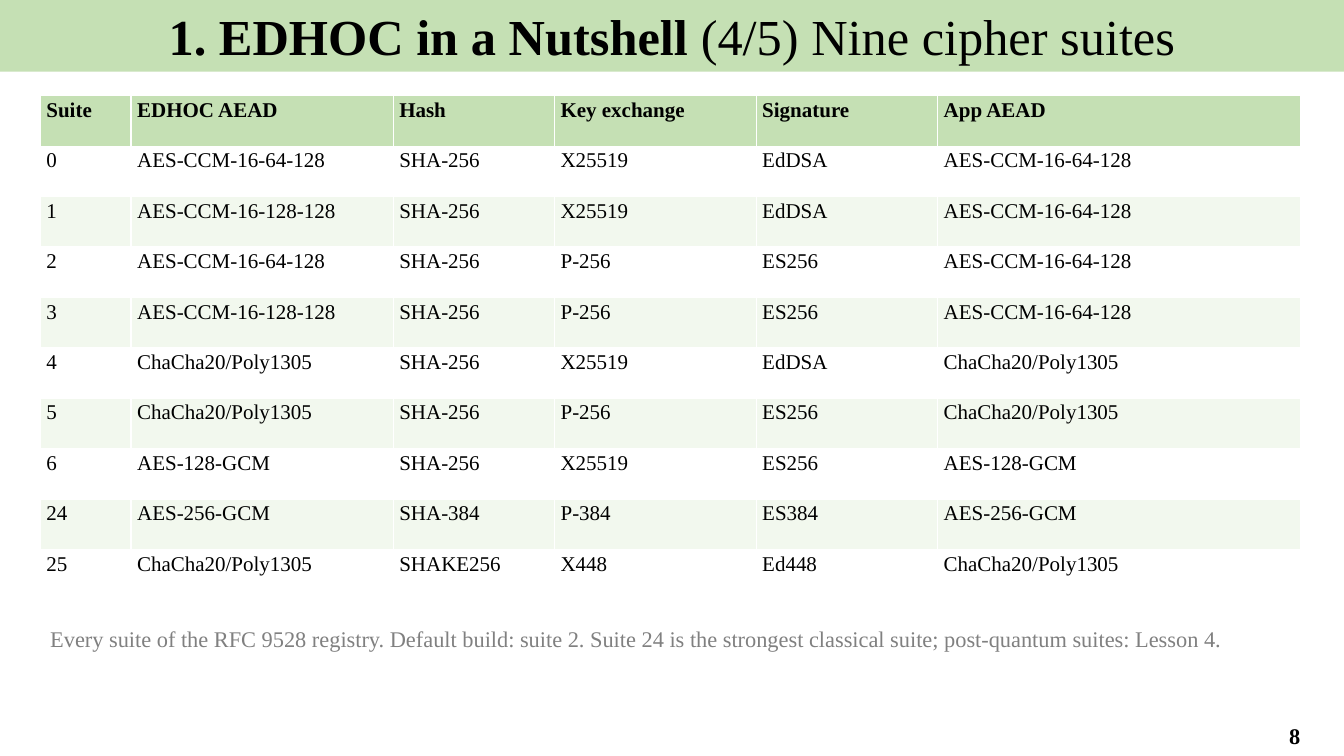
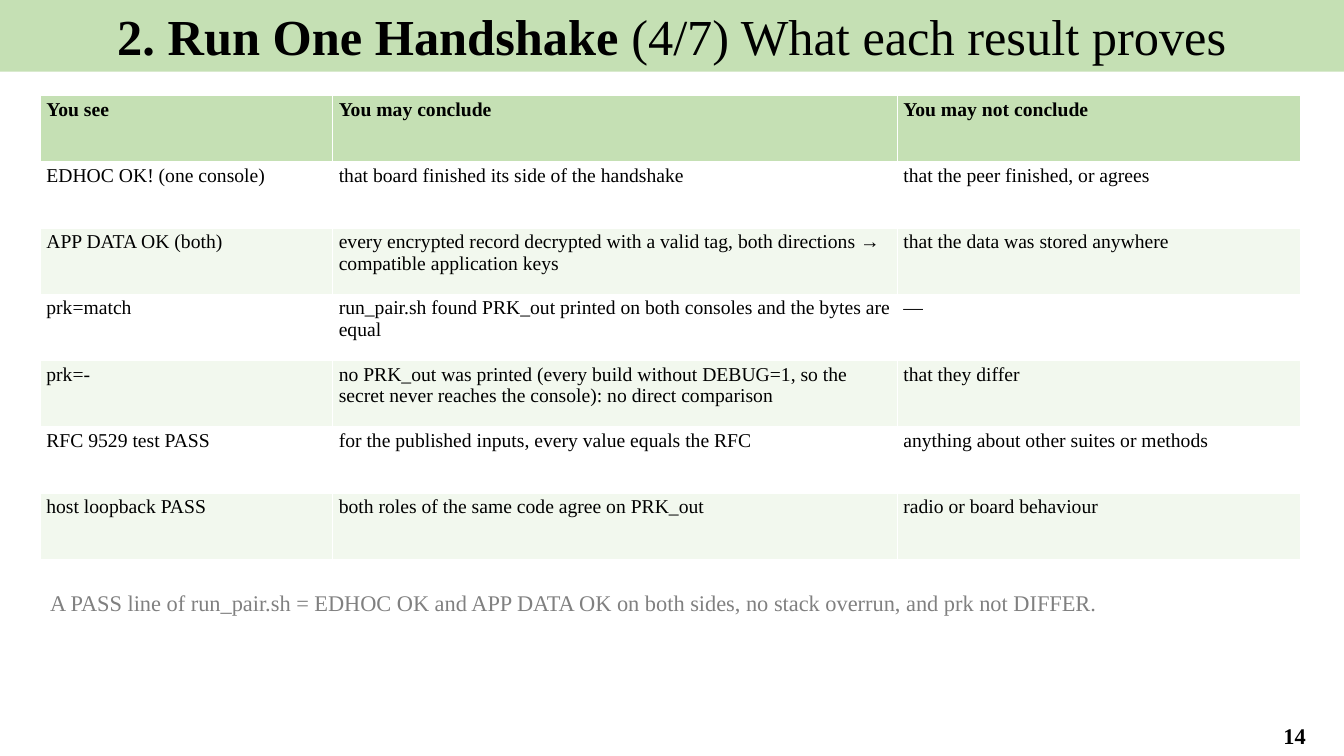
from dataclasses import dataclass

from pptx import Presentation
from pptx.dml.color import RGBColor
from pptx.enum.shapes import MSO_SHAPE
from pptx.enum.text import MSO_ANCHOR, MSO_AUTO_SIZE, PP_ALIGN
from pptx.util import Emu, Pt

SLIDE_WIDTH, SLIDE_HEIGHT = 1333, 750
MARGIN = 40
TABLE_TOP = 95
TABLE_WIDTH = 1250


@dataclass(frozen=True)
class Theme:
    font: str = "Times New Roman"
    ink: str = "000000"
    muted: str = "808080"
    accent: str = "C5E0B4"
    stripe: str = "F2F8EE"
    plain: str = "FFFFFF"
    title_size: int = 36
    note_size: int = 16


THEME = Theme()

SUITES = [
    ["Suite", "EDHOC AEAD", "Hash", "Key exchange", "Signature", "App AEAD"],
    ["0", "AES-CCM-16-64-128", "SHA-256", "X25519", "EdDSA", "AES-CCM-16-64-128"],
    ["1", "AES-CCM-16-128-128", "SHA-256", "X25519", "EdDSA", "AES-CCM-16-64-128"],
    ["2", "AES-CCM-16-64-128", "SHA-256", "P-256", "ES256", "AES-CCM-16-64-128"],
    ["3", "AES-CCM-16-128-128", "SHA-256", "P-256", "ES256", "AES-CCM-16-64-128"],
    ["4", "ChaCha20/Poly1305", "SHA-256", "X25519", "EdDSA", "ChaCha20/Poly1305"],
    ["5", "ChaCha20/Poly1305", "SHA-256", "P-256", "ES256", "ChaCha20/Poly1305"],
    ["6", "AES-128-GCM", "SHA-256", "X25519", "ES256", "AES-128-GCM"],
    ["24", "AES-256-GCM", "SHA-384", "P-384", "ES384", "AES-256-GCM"],
    ["25", "ChaCha20/Poly1305", "SHAKE256", "X448", "Ed448", "ChaCha20/Poly1305"],
]

CONCLUSIONS = [
    ["You see", "You may conclude", "You may not conclude"],
    ["EDHOC OK! (one console)",
     "that board finished its side of the handshake",
     "that the peer finished, or agrees"],
    ["APP DATA OK (both)",
     "every encrypted record decrypted with a valid tag, both directions → "
     "compatible application keys",
     "that the data was stored anywhere"],
    ["prk=match",
     "run_pair.sh found PRK_out printed on both consoles and the bytes are equal",
     "—"],
    ["prk=-",
     "no PRK_out was printed (every build without DEBUG=1, so the secret never "
     "reaches the console): no direct comparison",
     "that they differ"],
    ["RFC 9529 test PASS",
     "for the published inputs, every value equals the RFC",
     "anything about other suites or methods"],
    ["host loopback PASS",
     "both roles of the same code agree on PRK_out",
     "radio or board behaviour"],
]


def px(length):
    """Turn a length at 100 px to the inch into EMU."""
    return Emu(length * 9144)


def box(*lengths):
    return [px(length) for length in lengths]


def paint(target, color):
    target.fill.solid()
    target.fill.fore_color.rgb = RGBColor.from_string(color)


def write(paragraph, text, *, size, color=THEME.ink, bold=False, align=PP_ALIGN.LEFT):
    """Append a formatted run to the paragraph."""
    paragraph.alignment = align
    run = paragraph.add_run()
    run.text = text
    run.font.name = THEME.font
    run.font.size = Pt(size)
    run.font.bold = bold
    run.font.color.rgb = RGBColor.from_string(color)


def add_title_band(slide, section, topic):
    band = slide.shapes.add_shape(MSO_SHAPE.RECTANGLE, *box(0, 0, SLIDE_WIDTH, 71))
    band.shadow.inherit = False
    paint(band, THEME.accent)
    band.line.fill.background()
    frame = band.text_frame
    frame.word_wrap = True
    frame.vertical_anchor = MSO_ANCHOR.TOP
    for text, bold in ((f"{section} ", True), (topic, False)):
        write(frame.paragraphs[0], text, size=THEME.title_size, bold=bold,
              align=PP_ALIGN.CENTER)


def add_page_number(slide, number):
    frame = slide.shapes.add_textbox(*box(1235, 710, 98, 39)).text_frame
    frame.word_wrap = True
    frame.vertical_anchor = MSO_ANCHOR.MIDDLE
    write(frame.paragraphs[0], str(number), size=THEME.note_size, bold=True,
          align=PP_ALIGN.CENTER)


def row_fill(index):
    if index == 0:
        return THEME.accent
    return THEME.plain if index % 2 else THEME.stripe


def add_striped_table(slide, rows, column_widths, height, size):
    table = slide.shapes.add_table(
        len(rows), len(column_widths),
        *box(MARGIN, TABLE_TOP, TABLE_WIDTH, height)).table
    for column, width in zip(table.columns, column_widths):
        column.width = px(width)
    for row_index, texts in enumerate(rows):
        for cell, text in zip(table.rows[row_index].cells, texts):
            paint(cell, row_fill(row_index))
            cell.margin_left = cell.margin_right = px(6)
            cell.margin_top = cell.margin_bottom = px(3)
            write(cell.text_frame.paragraphs[0], text, size=size,
                  bold=row_index == 0)


def add_note(slide, text, top, height):
    frame = slide.shapes.add_textbox(*box(MARGIN, top, TABLE_WIDTH, height)).text_frame
    frame.word_wrap = True
    frame.auto_size = MSO_AUTO_SIZE.SHAPE_TO_FIT_TEXT
    paragraph = frame.paragraphs[0]
    paragraph.space_after = Pt(4)
    write(paragraph, text, size=THEME.note_size, color=THEME.muted)


def add_lesson_slide(deck, section, topic, number):
    """Add a blank slide with the shared title band and page number."""
    slide = deck.slides.add_slide(deck.slide_layouts[6])
    add_title_band(slide, section, topic)
    add_page_number(slide, number)
    return slide


def main():
    deck = Presentation()
    deck.slide_width, deck.slide_height = box(SLIDE_WIDTH, SLIDE_HEIGHT)

    suites = add_lesson_slide(
        deck, "1. EDHOC in a Nutshell", "(4/5) Nine cipher suites", 8)
    add_striped_table(suites, SUITES, (90, 260, 160, 200, 180, 360), 500, 15)
    add_note(
        suites,
        "Every suite of the RFC 9528 registry. Default build: suite 2. Suite 24 is "
        "the strongest classical suite; post-quantum suites: Lesson 4.",
        615, 80)

    results = add_lesson_slide(
        deck, "2. Run One Handshake", "(4/7) What each result proves", 14)
    add_striped_table(results, CONCLUSIONS, (290, 560, 400), 460, 14)
    add_note(
        results,
        "A PASS line of run_pair.sh = EDHOC OK and APP DATA OK on both sides, "
        "no stack overrun, and prk not DIFFER.",
        580, 90)

    deck.save("out.pptx")


if __name__ == "__main__":
    main()
